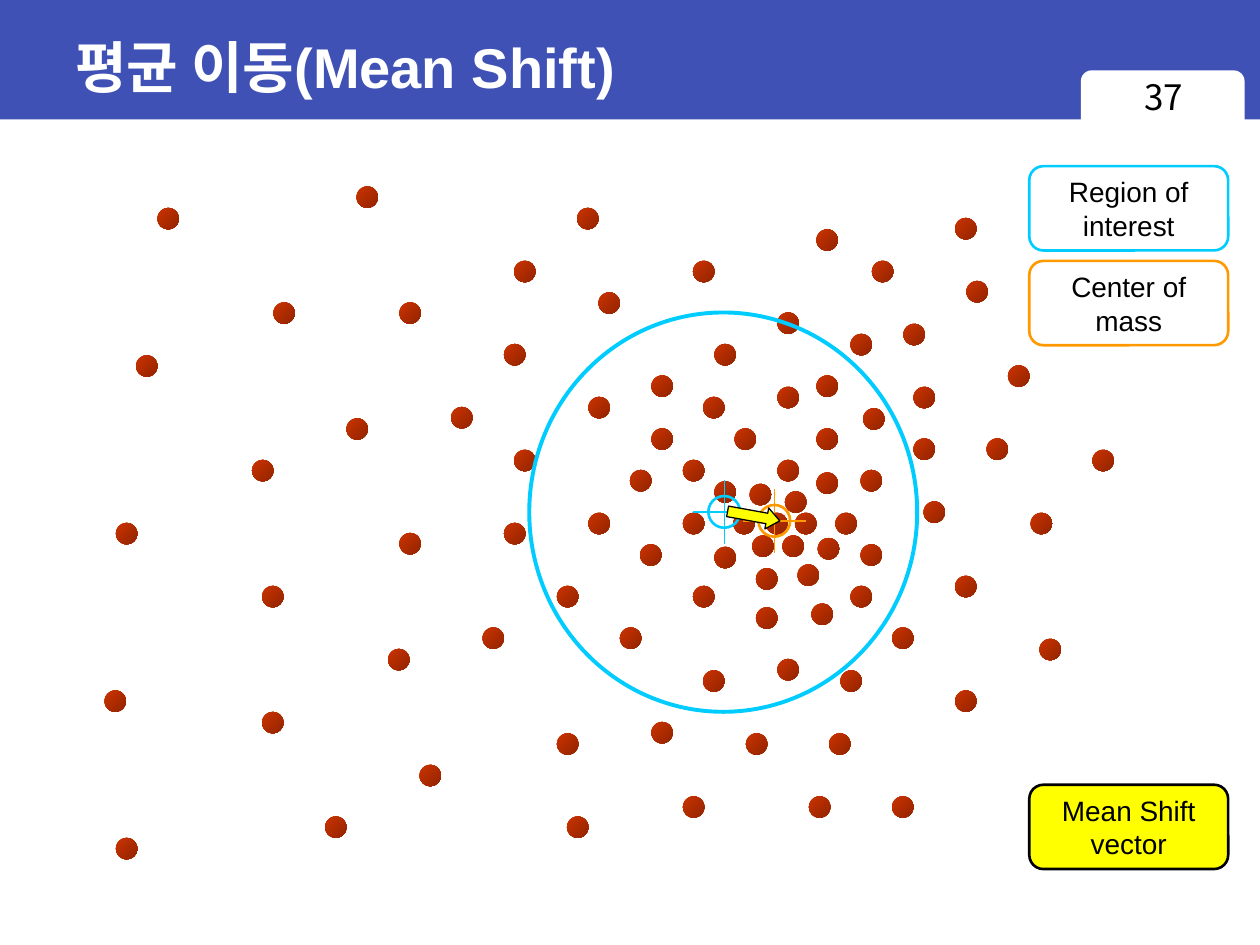
from dataclasses import dataclass

from lxml.etree import SubElement
from pptx import Presentation
from pptx.dml.color import RGBColor
from pptx.enum.shapes import MSO_CONNECTOR, MSO_SHAPE
from pptx.enum.text import MSO_ANCHOR, PP_ALIGN
from pptx.oxml.ns import qn
from pptx.util import Cm, Pt


@dataclass(frozen=True)
class Theme:
    band: str = "3F51B5"
    white: str = "FFFFFF"
    black: str = "000000"
    region: str = "00CCFF"
    mass: str = "FF9900"
    vector: str = "FFFF00"
    dot_light: str = "CC3300"
    dot_dark: str = "922400"
    font: str = "Arial"
    number_font: str = "Noto Sans CJK KR"
    title_size: int = 32
    number_size: int = 20
    label_size: int = 16


# Left and top of each data point, in hundredths of an inch
DOT_UNIT = 2.54 / 100
DOT_SIZE = 17
DOTS = [
    (608, 407), (631, 407), (623, 390), (595, 384), (621, 425), (597, 425),
    (649, 427), (582, 407), (663, 407), (648, 375), (617, 365), (633, 448),
    (600, 451), (567, 434), (542, 407), (567, 382), (683, 432), (675, 465),
    (644, 479), (600, 482), (550, 465), (508, 432), (500, 373), (542, 365),
    (583, 340), (648, 340), (617, 307), (517, 340), (558, 315), (617, 248),
    (567, 273), (648, 298), (648, 182), (675, 265), (685, 324), (683, 373),
    (725, 348), (725, 307), (717, 257), (692, 207), (758, 173), (767, 223),
    (800, 290), (733, 398), (783, 348), (867, 357), (758, 457), (818, 407),
    (708, 498), (825, 507), (758, 548), (667, 532), (617, 523), (658, 582),
    (708, 632), (642, 632), (592, 582), (558, 532), (492, 498), (517, 573),
    (542, 632), (450, 648), (442, 582), (383, 498), (442, 465), (467, 407),
    (408, 357), (467, 315), (517, 298), (475, 232), (550, 207), (458, 165),
    (408, 207), (400, 273), (358, 323), (400, 415), (317, 423), (308, 515),
    (333, 607), (258, 648), (208, 565), (208, 465), (275, 332), (317, 240),
    (217, 240), (200, 365), (83, 548), (92, 665), (92, 415), (108, 282),
    (125, 165), (283, 148),
]


class SlideBuilder:
    def __init__(self, s, theme):
        self.s = s
        self.theme = theme

    def shape(self, kind, box, fill=None, line=None, width=1.5, parent=None):
        """Add a preset shape; box is left, top, width, height in cm."""
        sp = (parent or self.s).shapes.add_shape(kind, *map(Cm, box))
        sp.shadow.inherit = False
        if fill:
            sp.fill.solid()
            sp.fill.fore_color.rgb = RGBColor.from_string(fill)
        else:
            sp.fill.background()
        if line:
            sp.line.color.rgb = RGBColor.from_string(line)
            sp.line.width = Pt(width)
        else:
            sp.line.fill.background()
        return sp

    def add_lines(self, tf, lines, size, color, font, bold=False, align=PP_ALIGN.CENTER):
        for i, text in enumerate(lines):
            p = tf.paragraphs[0] if i == 0 else tf.add_paragraph()
            p.alignment = align
            r = p.add_run()
            r.text = text
            r.font.size = Pt(size)
            r.font.name = font
            r.font.bold = bold
            r.font.color.rgb = RGBColor.from_string(color)

    def text_box(self, box, text, size, color, font, anchor=MSO_ANCHOR.TOP, **style):
        tf = self.s.shapes.add_textbox(*map(Cm, box)).text_frame
        tf.word_wrap = True
        tf.vertical_anchor = anchor
        self.add_lines(tf, [text], size, color, font, **style)

    def label(self, top, lines, line, fill=None):
        t = self.theme
        sp = self.shape(MSO_SHAPE.ROUNDED_RECTANGLE, (20.75, top, 4.01, 1.7), fill, line)
        tf = sp.text_frame
        tf.word_wrap = False
        tf.vertical_anchor = MSO_ANCHOR.MIDDLE
        self.add_lines(tf, lines, t.label_size, t.black, t.font)

    def dot(self, left, top):
        box = [v * DOT_UNIT for v in (left, top, DOT_SIZE, DOT_SIZE)]
        sp = self.shape(MSO_SHAPE.OVAL, box)
        sp.fill.gradient()
        sp.fill.gradient_angle = 315
        colors = (self.theme.dot_light, self.theme.dot_dark)
        for stop, color in zip(sp.fill.gradient_stops, colors):
            stop.color.rgb = RGBColor.from_string(color)

    def line(self, start, end, color, parent):
        cx = parent.shapes.add_connector(
            MSO_CONNECTOR.STRAIGHT, *map(Cm, (*start, *end)))
        cx.line.color.rgb = RGBColor.from_string(color)
        cx.line.width = Pt(0.75)
        SubElement(cx._element.spPr, qn("a:effectLst"))

    def target(self, x, y, color, region=None):
        """Group a crosshair centred on x, y with an optional region ellipse."""
        radius, arm = 0.32, 0.64
        group = self.s.shapes.add_group_shape()
        if region:
            self.shape(MSO_SHAPE.OVAL, region, line=color, width=2.25, parent=group)
        box = (x - radius, y - radius, 2 * radius, 2 * radius)
        self.shape(MSO_SHAPE.OVAL, box, line=color, parent=group)
        self.line((x, y - arm), (x, y + arm), color, group)
        self.line((x - arm, y), (x + arm, y), color, group)

    def arrow(self, box, angle):
        t = self.theme
        sp = self.shape(MSO_SHAPE.RIGHT_ARROW, box, t.vector, t.black, 0.75)
        sp.adjustments[1] = 0.62
        sp.rotation = angle


def main():
    prs = Presentation()
    prs.slide_width, prs.slide_height = Cm(25.4), Cm(19.05)
    t = Theme()
    b = SlideBuilder(prs.slides.add_slide(prs.slide_layouts[6]), t)

    b.shape(MSO_SHAPE.RECTANGLE, (0, 0, 25.4, 2.41), t.band)
    b.shape(MSO_SHAPE.ROUNDED_RECTANGLE, (21.79, 1.42, 3.3, 1.3), t.white)
    b.text_box((1.27, 0.28, 22.86, 2.11), "평균 이동(Mean Shift)", t.title_size,
               t.white, t.font, MSO_ANCHOR.MIDDLE, bold=True, align=PP_ALIGN.LEFT)
    b.text_box((21.79, 1.4, 3.33, 1.32), "37", t.number_size, t.black, t.number_font)

    for left, top in DOTS:
        b.dot(left, top)

    b.target(14.6, 10.32, t.region, region=(10.67, 6.3, 7.82, 8.05))
    b.label(3.35, ["Region of", "interest"], t.region)
    b.label(5.26, ["Center of", "mass"], t.mass)
    b.label(15.82, ["Mean Shift", "vector"], t.black, t.vector)
    b.target(15.61, 10.5, t.mass)
    b.arrow((14.66, 10.19, 1.07, 0.43), 10.3)

    prs.save("out.pptx")


if __name__ == "__main__":
    main()
